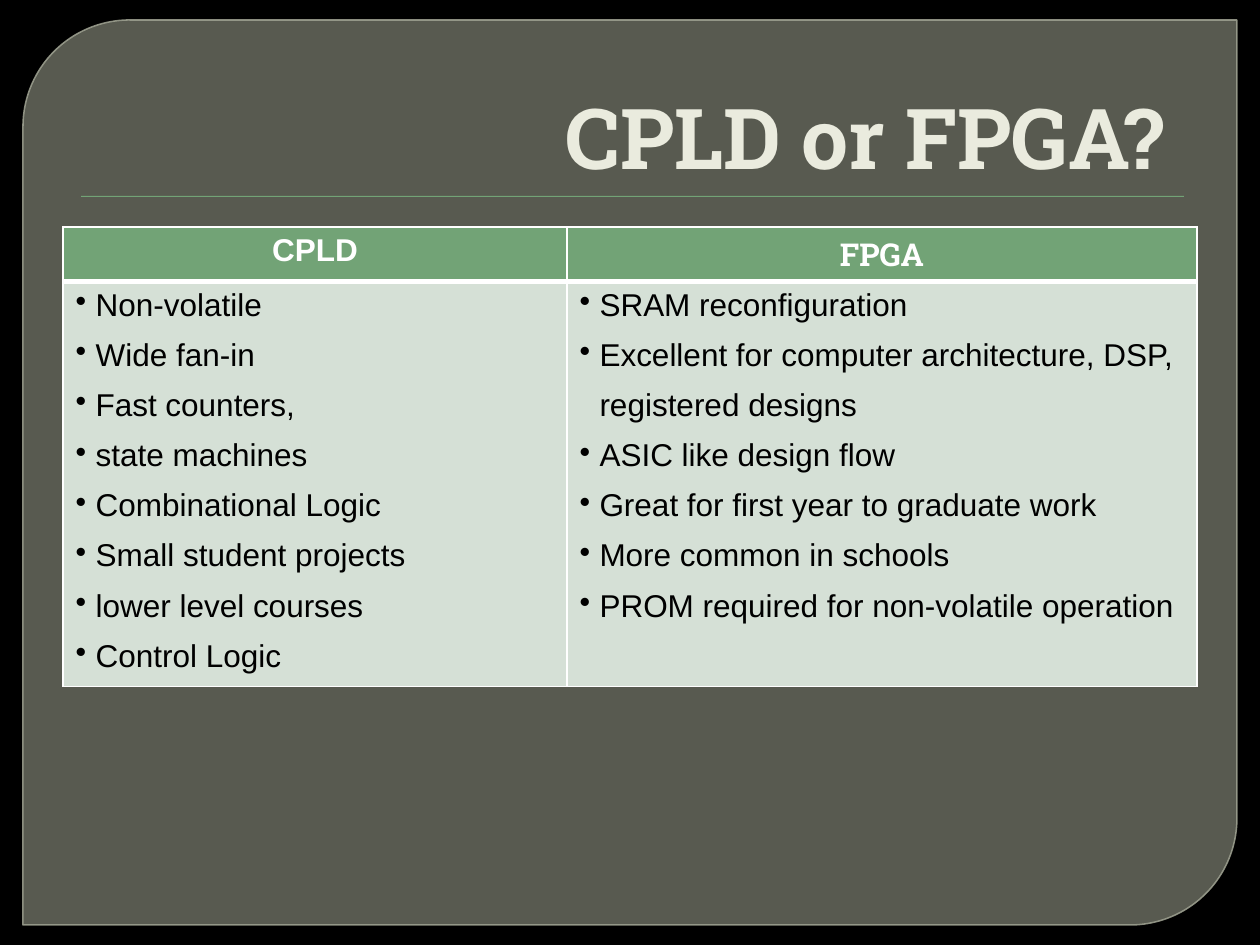
from dataclasses import dataclass

from lxml.etree import SubElement
from pptx import Presentation
from pptx.dml.color import RGBColor
from pptx.enum.shapes import MSO_SHAPE
from pptx.enum.text import MSO_ANCHOR, MSO_AUTO_SIZE, PP_ALIGN
from pptx.oxml.ns import qn
from pptx.util import Emu, Pt

PX = 914400 // 126  # one px in EMU

BLACK = RGBColor(0x00, 0x00, 0x00)
WHITE = RGBColor(0xFF, 0xFF, 0xFF)
PANEL = RGBColor(0x88, 0x8B, 0x7B)
PANEL_EDGE = RGBColor(0x9D, 0xA0, 0x90)
CREAM = RGBColor(0xEA, 0xEB, 0xDE)
GREEN = RGBColor(0x72, 0xA3, 0x76)
PALE_GREEN = RGBColor(0xD5, 0xE0, 0xD6)

SANS = "Arial"
SLAB = "Roboto Slab"
BULLET_INDENT = 20


@dataclass(frozen=True)
class Point:
    text: str
    bullet: bool = True


@dataclass(frozen=True)
class Column:
    heading: str
    heading_font: str
    width: int
    points: tuple[Point, ...]


COLUMNS = (
    Column("CPLD", SANS, 504, (
        Point("Non-volatile"),
        Point("Wide fan-in"),
        Point("Fast counters,"),
        Point("state machines"),
        Point("Combinational Logic"),
        Point("Small student projects"),
        Point("lower level courses"),
        Point("Control Logic"),
    )),
    Column("FPGA", SLAB, 630, (
        Point("SRAM reconfiguration"),
        Point("Excellent for computer architecture, DSP,"),
        Point("registered designs", bullet=False),
        Point("ASIC like design flow"),
        Point("Great for first year to graduate work"),
        Point("More common in schools"),
        Point("PROM required for non-volatile operation"),
    )),
)


def px(length: int) -> Emu:
    return Emu(length * PX)


def set_opacity(fill, percent: int) -> None:
    color = fill._xPr.find(qn("a:solidFill"))[0]
    SubElement(color, qn("a:alpha"), val=str(percent * 1000))


def add_block(slide, kind, left: int, top: int, width: int, height: int, color: RGBColor):
    block = slide.shapes.add_shape(kind, px(left), px(top), px(width), px(height))
    block.shadow.inherit = False
    block.fill.solid()
    block.fill.fore_color.rgb = color
    block.line.fill.background()
    return block


def style_font(paragraph, name: str, size: int, color: RGBColor, bold: bool) -> None:
    font = paragraph.font
    font.name, font.size, font.bold = name, Pt(size), bold
    font.color.rgb = color


def style_cell(cell, color: RGBColor, bottom_width: int) -> None:
    properties = cell._tc.get_or_add_tcPr()
    for side in "LRTB":
        width = bottom_width if side == "B" else 1
        line = SubElement(properties, qn(f"a:ln{side}"), w=str(Pt(width)))
        fill = SubElement(line, qn("a:solidFill"))
        SubElement(fill, qn("a:srgbClr"), val=str(WHITE))
    cell.fill.solid()
    cell.fill.fore_color.rgb = color


def write_points(cell, points: tuple[Point, ...]) -> None:
    frame = cell.text_frame
    frame.text = "\n".join(point.text for point in points)
    for paragraph, point in zip(frame.paragraphs, points):
        paragraph.space_before = Pt(8.5)
        style_font(paragraph, SANS, 18, BLACK, False)
        properties = paragraph._p.get_or_add_pPr()
        properties.set("marL", str(px(BULLET_INDENT)))
        if point.bullet:
            properties.set("indent", str(px(-BULLET_INDENT)))
            # The bullet goes before the default run properties
            bullet = SubElement(properties, qn("a:buChar"), char="•")
            properties.find(qn("a:defRPr")).addprevious(bullet)


def add_comparison(slide, columns: tuple[Column, ...]) -> None:
    width = sum(column.width for column in columns)
    table = slide.shapes.add_table(
        2, len(columns), px(63), px(227), px(width), px(459)).table
    table.horz_banding = False
    table.rows[0].height, table.rows[1].height = px(54), px(405)
    for index, column in enumerate(columns):
        table.columns[index].width = px(column.width)
        heading, body = table.cell(0, index), table.cell(1, index)
        heading.text = column.heading
        paragraph = heading.text_frame.paragraphs[0]
        paragraph.alignment = PP_ALIGN.CENTER
        style_font(paragraph, column.heading_font, 18, WHITE, True)
        style_cell(heading, GREEN, 3)
        write_points(body, column.points)
        style_cell(body, PALE_GREEN, 1)


def add_title(slide, text: str) -> None:
    title = slide.shapes.title
    slide.shapes.element.append(title.element)  # in front of the panel
    title.left, title.top, title.width, title.height = px(63), px(35), px(1134), px(158)
    frame = title.text_frame
    frame.text = text
    frame.auto_size = MSO_AUTO_SIZE.NONE
    frame.vertical_anchor = MSO_ANCHOR.BOTTOM
    frame.margin_right = px(32)
    paragraph = frame.paragraphs[0]
    paragraph.alignment = PP_ALIGN.RIGHT
    style_font(paragraph, SLAB, 48, CREAM, True)


def main() -> None:
    deck = Presentation()
    deck.slide_width, deck.slide_height = px(1260), px(945)
    slide = deck.slides.add_slide(deck.slide_layouts[5])
    slide.background.fill.solid()
    slide.background.fill.fore_color.rgb = BLACK

    # Panel with two rounded corners
    panel = add_block(slide, MSO_SHAPE.ROUND_2_DIAG_RECTANGLE, 23, 20, 1214, 905, PANEL)
    panel.adjustments[0] = 0.118
    set_opacity(panel.fill, 65)
    panel.line.color.rgb = PANEL_EDGE
    panel.line.width = Pt(0.87)
    set_opacity(panel.line.fill, 88)

    # Title and the rule under it
    add_block(slide, MSO_SHAPE.RECTANGLE, 81, 196, 1103, 1, GREEN)
    add_title(slide, "CPLD or FPGA?")

    add_comparison(slide, COLUMNS)
    deck.save("out.pptx")


if __name__ == "__main__":
    main()
